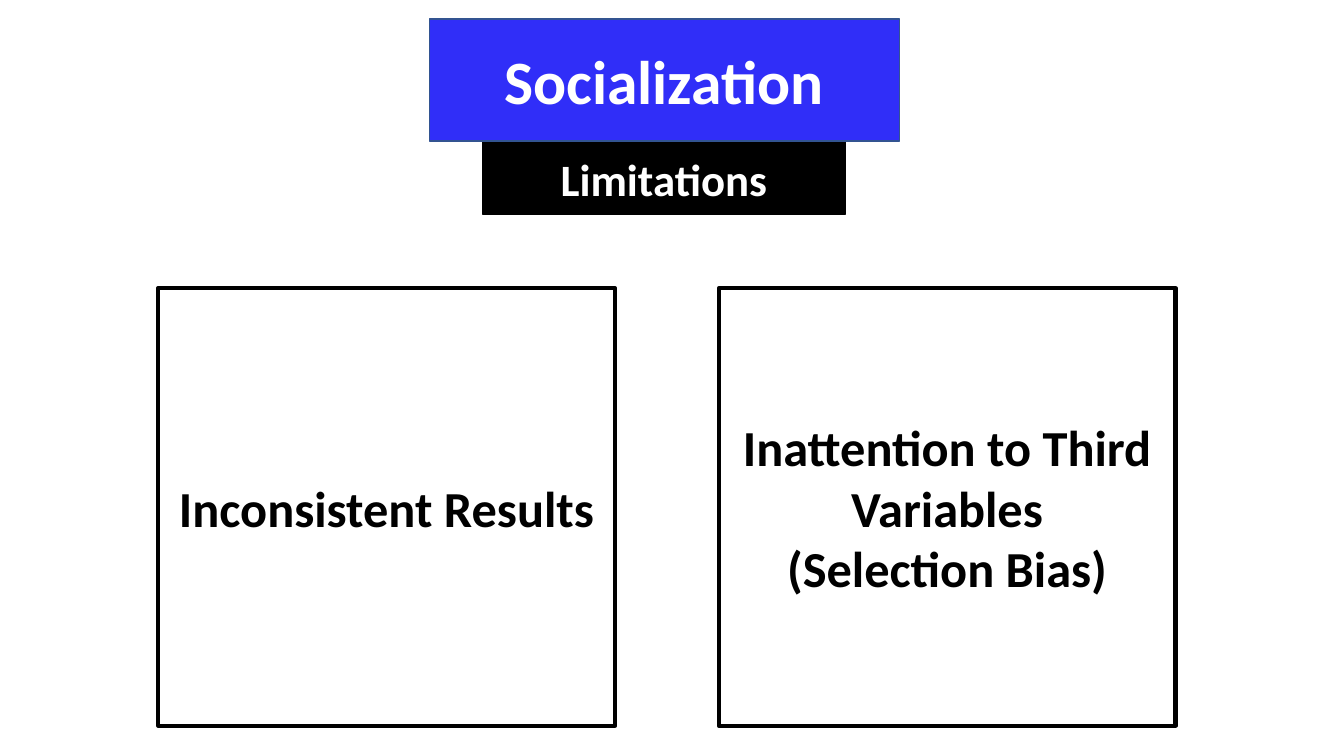
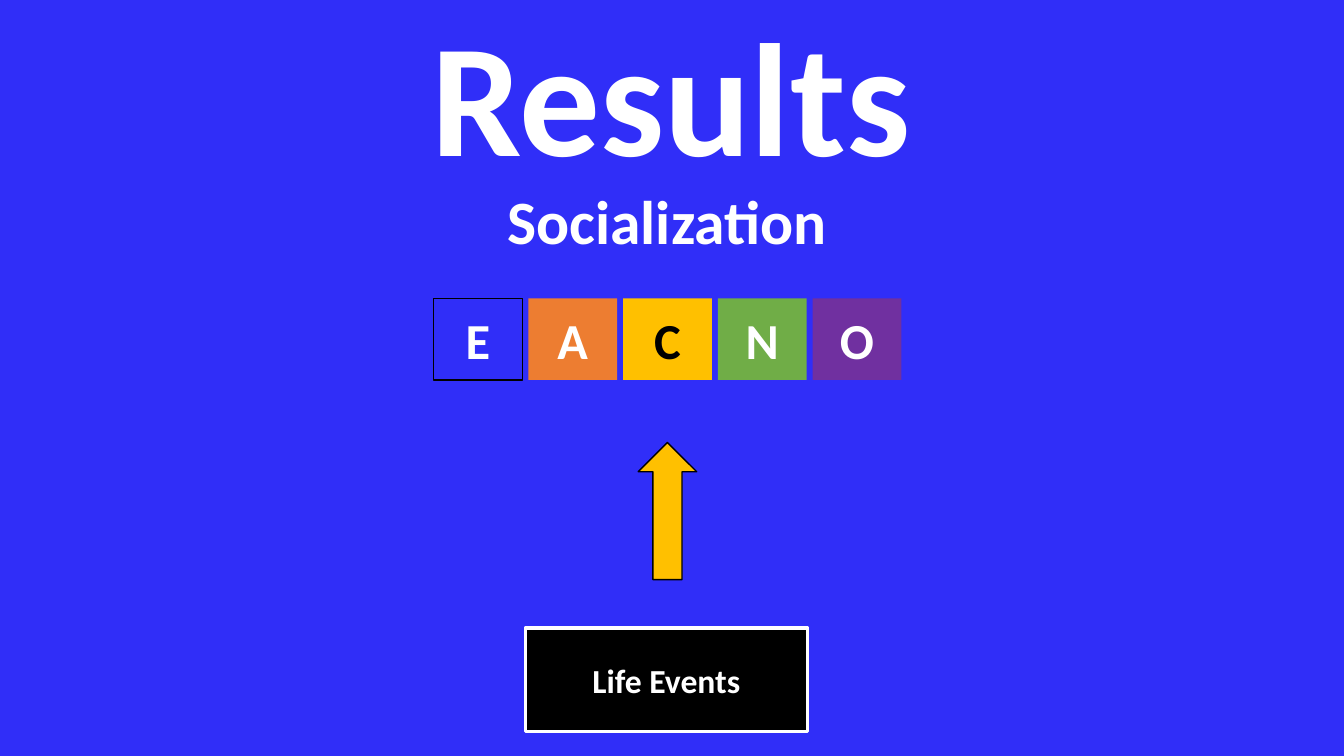
from pptx import Presentation
from pptx.dml.color import RGBColor
from pptx.enum.shapes import MSO_SHAPE
from pptx.enum.text import MSO_ANCHOR, PP_ALIGN
from pptx.util import Emu, Pt

SCALE = 9144
FONT = "Calibri"
BLUE = RGBColor(0x30, 0x2E, 0xF8)
NAVY = RGBColor(0x32, 0x54, 0x91)
BLACK = RGBColor(0, 0, 0)
WHITE = RGBColor(255, 255, 255)
ORANGE = RGBColor(0xED, 0x7D, 0x31)
GOLD = RGBColor(0xFF, 0xC0, 0x00)
GREEN = RGBColor(0x70, 0xAD, 0x47)
PURPLE = RGBColor(0x70, 0x30, 0xA0)

TRAITS = [
    ("E", BLUE, WHITE, BLACK),
    ("A", ORANGE, WHITE, None),
    ("C", GOLD, BLACK, None),
    ("N", GREEN, WHITE, None),
    ("O", PURPLE, WHITE, None),
]
LIMITS = [
    ["Inconsistent Results"],
    ["Inattention to Third Variables", "(Selection Bias)"],
]


def px(*values):
    """Turn px lengths into EMU."""
    return [Emu(value * SCALE) for value in values]


def write(frame, lines, size, color):
    """Fill a text frame with centred bold lines."""
    frame.word_wrap = True
    frame.text = "\n".join(lines)
    for para in frame.paragraphs:
        para.alignment = PP_ALIGN.CENTER
        para.font.name = FONT
        para.font.size = Pt(size)
        para.font.bold = True
        para.font.color.rgb = color


def add_form(slide, kind, area, fill, line=None, width=1):
    """Add a filled preset shape, outlined if a line colour is given."""
    form = slide.shapes.add_shape(kind, *px(*area))
    form.shadow.inherit = False
    form.fill.solid()
    form.fill.fore_color.rgb = fill
    if line is None:
        form.line.fill.background()
    else:
        form.line.color.rgb = line
        form.line.width = Pt(width)
    return form


def add_box(slide, area, lines, size, fill, color, line=None, width=1):
    """Add a rectangle with text in its middle."""
    box = add_form(slide, MSO_SHAPE.RECTANGLE, area, fill, line, width)
    box.text_frame.vertical_anchor = MSO_ANCHOR.MIDDLE
    write(box.text_frame, lines, size, color)


def add_banner(slide, left, top, line=None):
    """Add the blue topic banner that the slides share."""
    area = (left, top, 466, 121)
    add_box(slide, area, ["Socialization"], 44, BLUE, WHITE, line)


def add_slide(deck, color):
    """Add a blank slide with a plain background."""
    slide = deck.slides.add_slide(deck.slide_layouts[6])
    slide.background.fill.solid()
    slide.background.fill.fore_color.rgb = color
    return slide


def draw_limits(deck):
    """Draw the slide on limitations."""
    slide = add_slide(deck, WHITE)
    add_box(slide, (479, 141, 359, 72), ["Limitations"], 32, BLACK, WHITE, BLACK)
    for index, lines in enumerate(LIMITS):
        area = (157 + 556 * index, 286, 453, 434)
        add_box(slide, area, lines, 36, WHITE, BLACK, BLACK, 3)
    add_banner(slide, 426, 19, NAVY)


def draw_results(deck):
    """Draw the slide on results."""
    slide = add_slide(deck, BLUE)
    title = slide.shapes.add_textbox(*px(399, -9, 533, 204))
    write(title.text_frame, ["Results"], 115, WHITE)
    add_banner(slide, 429, 158)
    add_box(slide, (521, 623, 280, 103), ["Life Events"], 24, BLACK, WHITE, WHITE, 2.25)
    add_form(slide, MSO_SHAPE.UP_ARROW, (633, 439, 58, 136), GOLD, BLACK)
    for index, (letter, fill, color, line) in enumerate(TRAITS):
        area = (430 + 94 * index, 296, 88, 81)
        add_box(slide, area, [letter], 36, fill, color, line)


def main():
    """Build and save the deck."""
    deck = Presentation()
    deck.slide_width, deck.slide_height = px(1333, 750)
    draw_limits(deck)
    draw_results(deck)
    deck.save("out.pptx")


if __name__ == "__main__":
    main()
